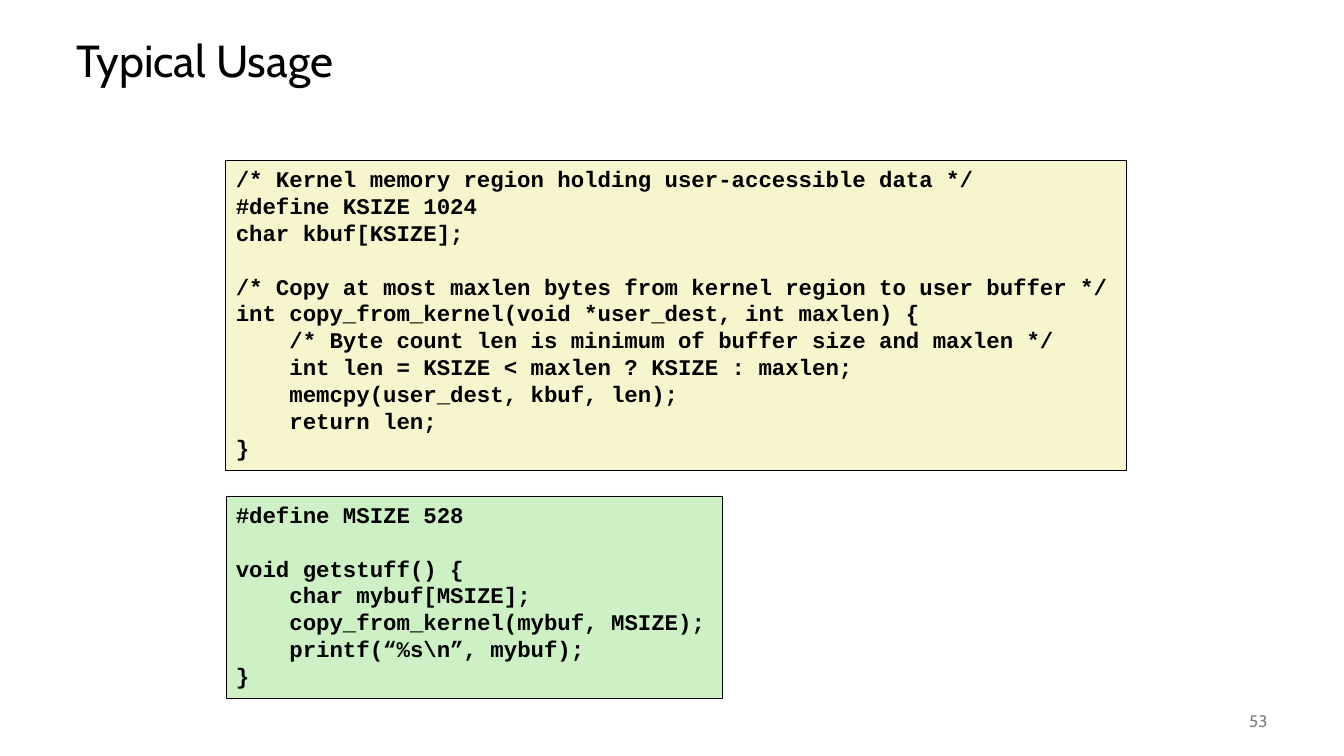
from lxml.etree import SubElement
from pptx import Presentation
from pptx.dml.color import RGBColor
from pptx.enum.shapes import MSO_SHAPE as Shape
from pptx.enum.text import MSO_ANCHOR as Anchor, MSO_AUTO_SIZE as AutoSize, PP_ALIGN as Align
from pptx.oxml.ns import qn
from pptx.util import Inches, Pt

KERNEL_CODE = r"""/* Kernel memory region holding user-accessible data */
#define KSIZE 1024
char kbuf[KSIZE];

/* Copy at most maxlen bytes from kernel region to user buffer */
int copy_from_kernel(void *user_dest, int maxlen) {
    /* Byte count len is minimum of buffer size and maxlen */
    int len = KSIZE < maxlen ? KSIZE : maxlen;
    memcpy(user_dest, kbuf, len);
    return len;
}"""

USER_CODE = r"""#define MSIZE 528

void getstuff() {
    char mybuf[MSIZE];
    copy_from_kernel(mybuf, MSIZE);
    printf(“%s\n”, mybuf);
}"""


def color(value):
    """Turn a hex string into a colour."""
    return RGBColor.from_string(value)


def write(frame, text, font="Cabin", size=12, ink="000000", bold=False,
          align=Align.LEFT, anchor=Anchor.MIDDLE, spacing=1.0, wrap=True):
    """Fill a text frame with one formatted paragraph per line."""
    frame.word_wrap = wrap
    frame.vertical_anchor = anchor
    for index, line in enumerate(text.split("\n")):
        para = frame.add_paragraph() if index else frame.paragraphs[0]
        para.alignment = align
        para.line_spacing = spacing
        if line:
            span = para.add_run()
            span.text = line
            span.font.name = font
            span.font.size = Pt(size)
            span.font.bold = bold
            span.font.color.rgb = color(ink)
        else:
            end = SubElement(para._p, qn("a:endParaRPr"), sz=str(size * 100), b=str(int(bold)))
            SubElement(end, qn("a:latin"), typeface=font)


def add_label(page, box, text, **style):
    """Place a plain text box."""
    label = page.shapes.add_textbox(*map(Inches, box))
    write(label.text_frame, text, **style)


def add_code(page, box, code, fill):
    """Place a framed code listing."""
    panel = page.shapes.add_shape(Shape.RECTANGLE, *map(Inches, box))
    panel.shadow.inherit = False
    panel.fill.solid()
    panel.fill.fore_color.rgb = color(fill)
    panel.line.color.rgb = color("000000")
    panel.line.width = Pt(0.5)
    write(panel.text_frame, code, font="Courier New", size=16, bold=True,
          anchor=Anchor.TOP, wrap=False)
    panel.text_frame.auto_size = AutoSize.SHAPE_TO_FIT_TEXT


def build_usage_slide(deck):
    """Build the slide with the kernel and user listings."""
    page = deck.slides.add_slide(deck.slide_layouts[6])
    add_label(page, (0.66, 0.25, 12, 0.75), "Typical Usage", size=32, spacing=0.9)
    add_code(page, (2.24, 1.59, 8.93, 3.08), KERNEL_CODE, "F7F5CD")
    add_code(page, (2.24, 4.92, 4.92, 2.01), USER_CODE, "CDF1C5")
    add_label(page, (11.67, 6.95, 1, 0.4), "53", ink="808080", align=Align.RIGHT)


def main():
    """Create and save the deck."""
    deck = Presentation()
    deck.slide_width = Inches(13.33)
    deck.slide_height = Inches(7.5)
    build_usage_slide(deck)
    deck.save("out.pptx")


if __name__ == "__main__":
    main()
